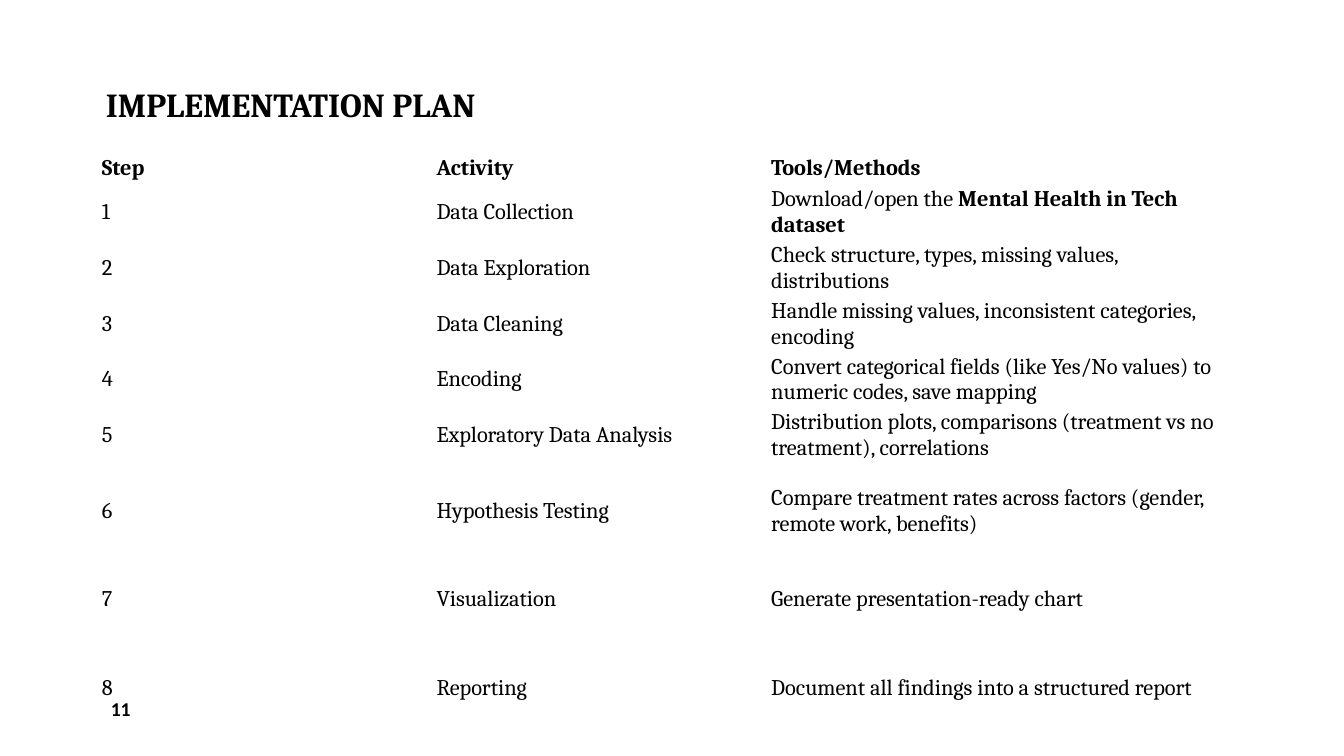
from pptx import Presentation
from pptx.dml.color import RGBColor
from pptx.enum.text import MSO_ANCHOR, PP_ALIGN
from pptx.util import Inches, Pt

MIDDLE, BOTTOM = MSO_ANCHOR.MIDDLE, MSO_ANCHOR.BOTTOM
LEFT = PP_ALIGN.LEFT

# Content: bold parts of a cell are given as (text, bold) pairs
TITLE = "IMPLEMENTATION PLAN"
PAGE = "11"
HEAD = ("Step", "Activity", "Tools/Methods")
STEPS = [
    ("Data Collection", [("Download/open the ", False),
                         ("Mental Health in Tech dataset", True)]),
    ("Data Exploration", "Check structure, types, missing values, distributions"),
    ("Data Cleaning", "Handle missing values, inconsistent categories, encoding"),
    ("Encoding", "Convert categorical fields (like Yes/No values) to numeric codes, save mapping"),
    ("Exploratory Data Analysis",
     "Distribution plots, comparisons (treatment vs no treatment), correlations"),
    ("Hypothesis Testing",
     "Compare treatment rates across factors (gender, remote work, benefits)"),
    ("Visualization", "Generate presentation-ready chart"),
    ("Reporting", "Document all findings into a structured report"),
]

# Layout, in inches
COLORS = {"ink": "000000", "paper": "FFFFFF"}
COLS = [3.32, 3.32, 4.51]
ROWS = [0.33] + [0.53] * 5 + [0.95, 0.79, 0.99]
EDGE, TOP, INSET = 1, 1.5, 0.01


def write(frame, text, size=16, font="Cambria", bold=False, anchor=MIDDLE,
          after=0, lead=None):
    """Fill a text frame with one paragraph, given as a string or as parts."""
    frame.word_wrap = True
    frame.vertical_anchor = anchor
    para = frame.paragraphs[0]
    para.alignment = LEFT
    para.space_after = Pt(after)
    para.line_spacing = lead
    parts = [(text, bold)] if isinstance(text, str) else text
    for words, heavy in parts:
        run = para.add_run()
        run.text = words
        run.font.size = Pt(size)
        run.font.name = font
        run.font.bold = heavy
        run.font.color.rgb = RGBColor.from_string(COLORS["ink"])


def main():
    deck = Presentation()
    deck.slide_width, deck.slide_height = Inches(13.33), Inches(7.5)
    slide = deck.slides.add_slide(deck.slide_layouts[5])
    slide.background.fill.solid()
    slide.background.fill.fore_color.rgb = RGBColor.from_string(COLORS["paper"])

    # Title
    title = slide.shapes.title
    title.left, title.top = Inches(0.95), Inches(-0.16)
    title.width, title.height = Inches(11.38), Inches(1.45)
    write(title.text_frame, TITLE, size=24, bold=True, anchor=BOTTOM, lead=0.9)

    # Page number
    box = slide.shapes.add_textbox(Inches(EDGE), Inches(6.83), Inches(2.92), Inches(0.4))
    write(box.text_frame, PAGE, size=14, font="Calibri", bold=True)

    # Plan table
    plan = slide.shapes.add_table(
        len(ROWS), len(COLS), Inches(EDGE), Inches(TOP),
        Inches(sum(COLS)), Inches(sum(ROWS))).table
    plan.horz_banding = False
    for col, width in zip(plan.columns, COLS):
        col.width = Inches(width)
    for row, height in zip(plan.rows, ROWS):
        row.height = Inches(height)

    lines = [HEAD] + [(str(n), *step) for n, step in enumerate(STEPS, 1)]
    for r, line in enumerate(lines):
        for c, text in enumerate(line):
            cell = plan.cell(r, c)
            cell.fill.background()
            cell.margin_left = cell.margin_right = Inches(INSET)
            cell.margin_top = cell.margin_bottom = Inches(INSET)
            cell.vertical_anchor = MIDDLE
            write(cell.text_frame, text, bold=r == 0, after=10)

    deck.save("out.pptx")


if __name__ == "__main__":
    main()
